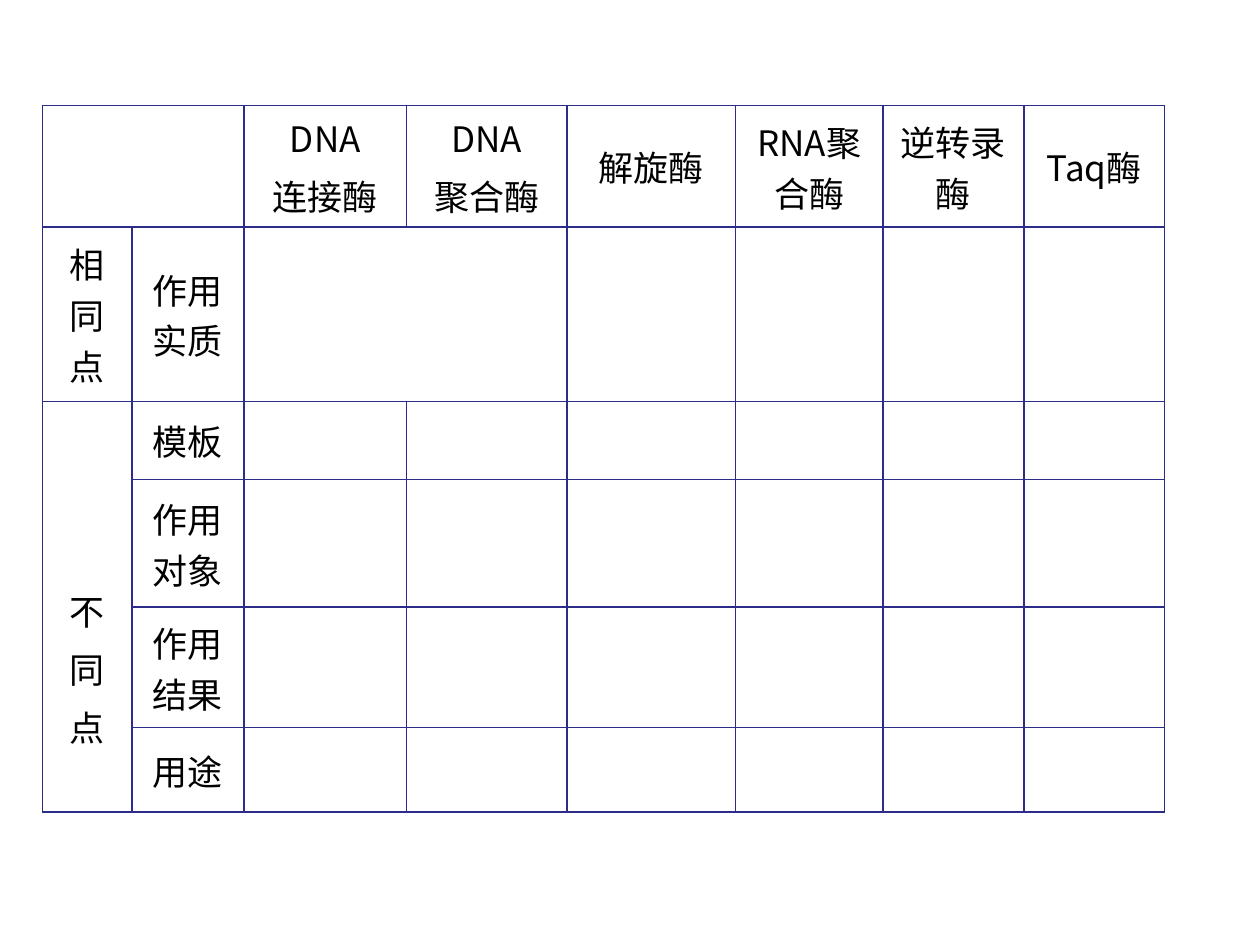
from lxml import etree
from pptx import Presentation
from pptx.dml.color import RGBColor
from pptx.enum import text
from pptx.oxml import ns
from pptx.util import Cm, Pt

FONT = "Noto Sans CJK SC"
BORDER = "2D2D89"
COLUMN_WIDTHS = [1.8, 2.26, 3.28, 3.23, 3.4, 2.97, 2.84, 2.84]
ROW_HEIGHTS = [2.43, 3.51, 1.58, 2.57, 2.43, 1.7]
LABELS = [
    ["", "", "DNA\n连接酶", "DNA\n聚合酶", "解旋酶", "RNA聚合酶", "逆转录酶", "Taq酶"],
    ["相同点", "作用实质"],
    ["不\n同\n点", "模板"],
    ["", "作用对象"],
    ["", "作用结果"],
    ["", "用途"],
]


def add_borders(cell, color):
    properties = cell._tc.get_or_add_tcPr()
    for side in ("lnL", "lnR", "lnT", "lnB"):
        line = etree.SubElement(properties, ns.qn(f"a:{side}"), w=str(Pt(1)))
        fill = etree.SubElement(line, ns.qn("a:solidFill"))
        etree.SubElement(fill, ns.qn("a:srgbClr"), val=color)


def write_label(cell, label):
    cell.text_frame.text = label
    for index, paragraph in enumerate(cell.text_frame.paragraphs):
        paragraph.alignment = text.PP_ALIGN.CENTER
        if index:
            paragraph.space_before = Pt(4)
        for run in paragraph.runs:
            run.font.size = Pt(20)
            run.font.name = FONT
            run.font.color.rgb = RGBColor.from_string("000000")
            east_asian = etree.Element(ns.qn("a:ea"), typeface=FONT)
            run._r.rPr.find(ns.qn("a:latin")).addnext(east_asian)


presentation = Presentation()
presentation.slide_width = Cm(25.4)
presentation.slide_height = Cm(19.05)
slide = presentation.slides.add_slide(presentation.slide_layouts[6])

# Table grid
table = slide.shapes.add_table(
    len(ROW_HEIGHTS), len(COLUMN_WIDTHS), Cm(0.86), Cm(2.13),
    Cm(sum(COLUMN_WIDTHS)), Cm(sum(ROW_HEIGHTS))).table
table.first_row = False
table.horz_banding = False
for column, width in zip(table.columns, COLUMN_WIDTHS):
    column.width = Cm(width)
for row, height in zip(table.rows, ROW_HEIGHTS):
    row.height = Cm(height)

# Cell format
for cell in table.iter_cells():
    add_borders(cell, BORDER)
    cell.fill.background()
    cell.vertical_anchor = text.MSO_ANCHOR.MIDDLE
    cell.margin_left = cell.margin_right = Cm(0.33)
    cell.margin_top = cell.margin_bottom = Cm(0.13)

# Merged areas
for first, last in [((0, 0), (0, 1)), ((1, 2), (1, 3)), ((2, 0), (5, 0))]:
    table.cell(*first).merge(table.cell(*last))

# Labels
for row_index, labels in enumerate(LABELS):
    for column_index, label in enumerate(labels):
        if label:
            write_label(table.cell(row_index, column_index), label)

# The label of the differences sits below the middle of its cell
table.cell(2, 0).margin_top = Cm(2.6)

presentation.save("out.pptx")
